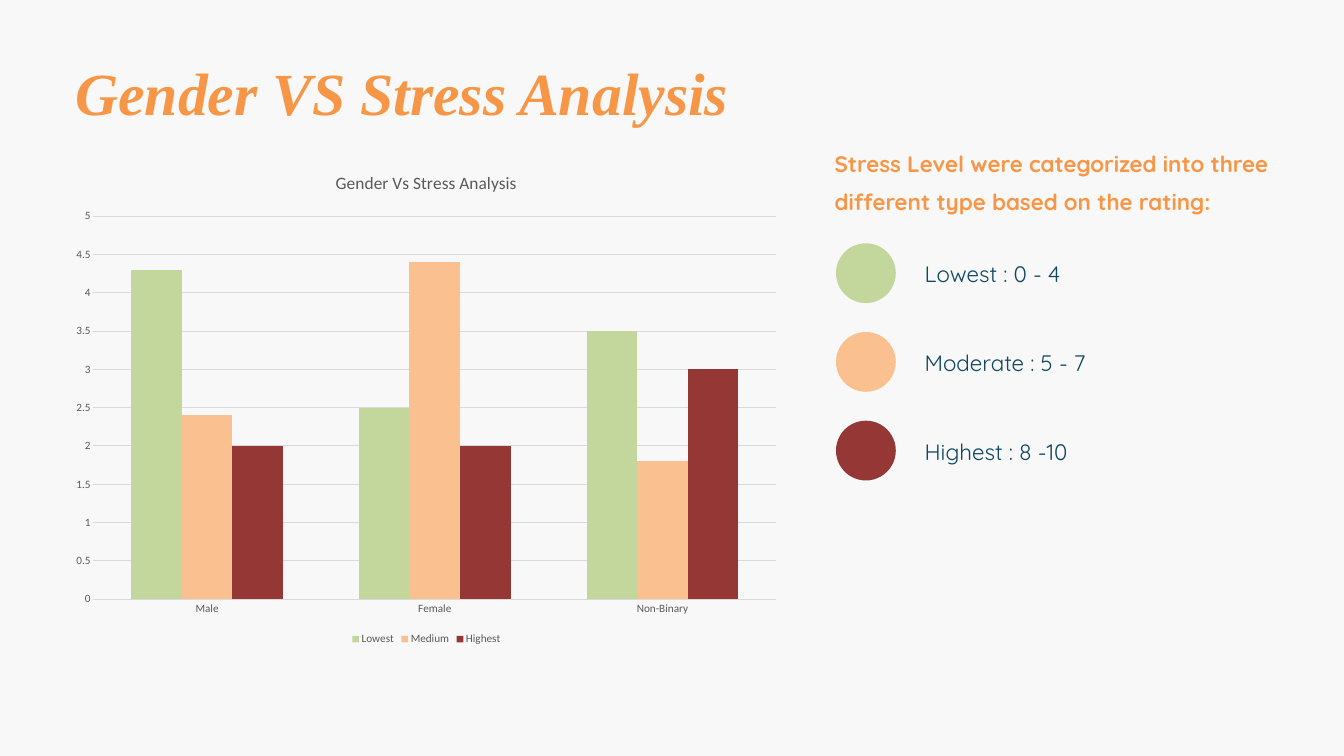
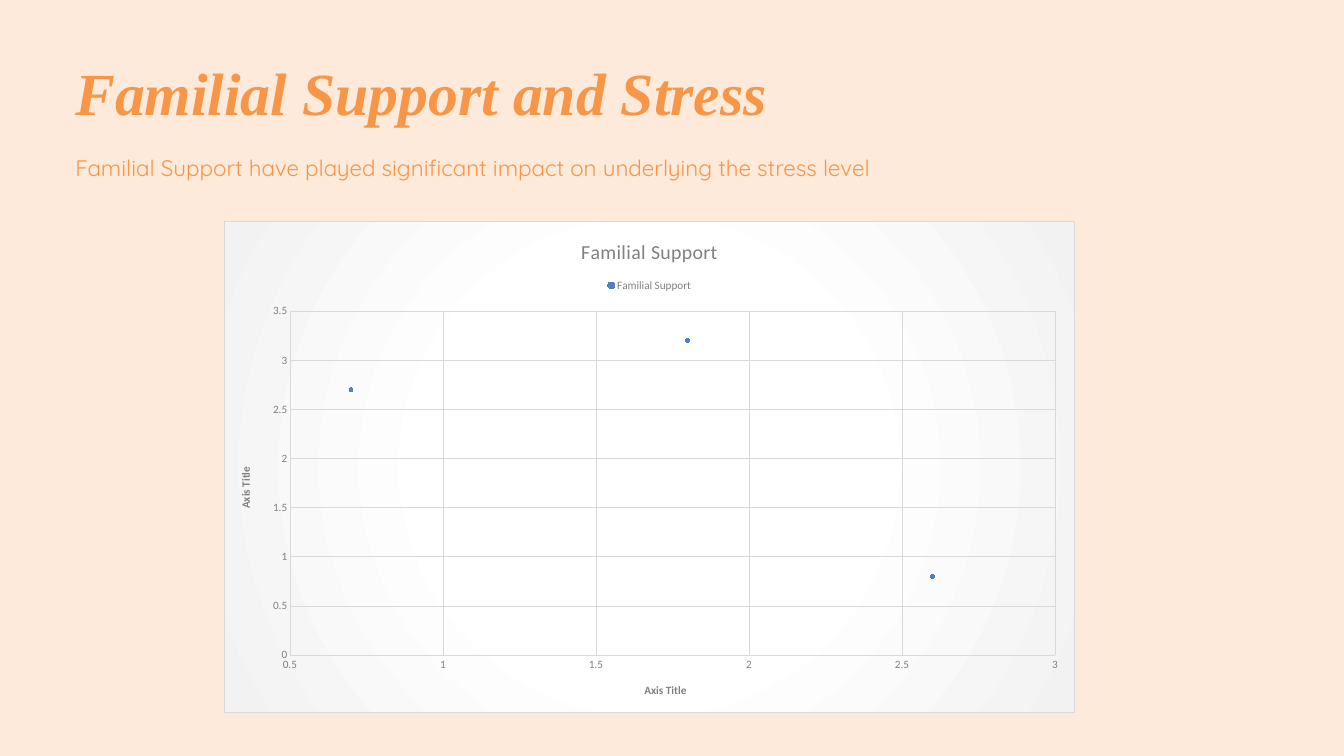
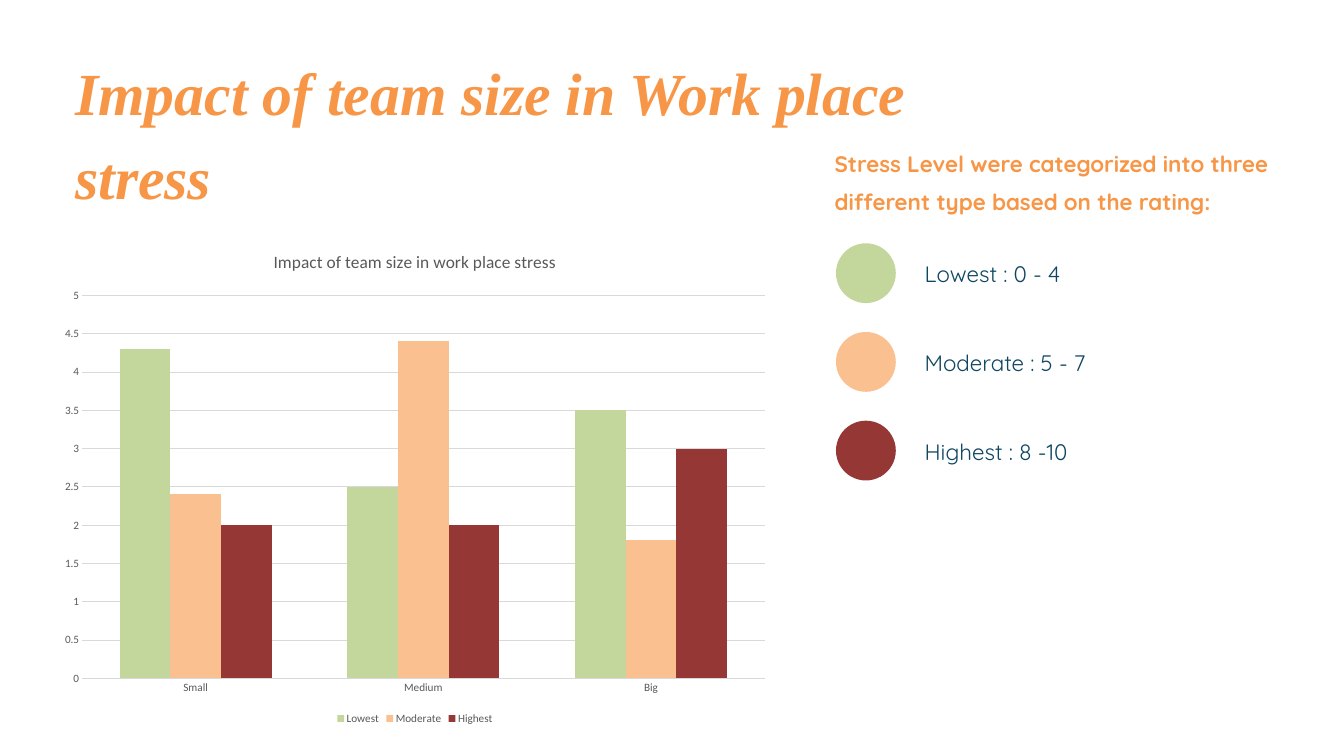
from lxml import etree
from pptx import Presentation
from pptx import util as u
from pptx.chart.data import CategoryChartData, XyChartData
from pptx.dml.color import RGBColor
from pptx.enum import chart as charts, shapes, text
from pptx.oxml import parse_xml
from pptx.oxml.ns import nsdecls, qn

COLORS = {
    "gray": "F8F8F8",
    "peach": "FDEADA",
    "white": "FFFFFF",
    "orange": "F79646",
    "navy": "0F4662",
    "low": "C3D69B",
    "moderate": "FAC090",
    "high": "953735",
    "blue": "4F81BD",
    "dark_label": "595959",
    "light_label": "808080",
    "grid": "D9D9D9",
    "edge": "F2F2F2",
}
LEVELS = [
    ("low", "Lowest : 0 - 4"),
    ("moderate", "Moderate : 5 - 7"),
    ("high", "Highest : 8 -10"),
]
STRESS_VALUES = [(4.3, 2.5, 3.5), (2.4, 4.4, 1.8), (2, 2, 3)]
CLEAR_FILL = "<a:noFill/><a:ln><a:noFill/></a:ln>"
GLOW_FILL = f"""<a:gradFill>
  <a:gsLst>
    <a:gs pos="0"><a:srgbClr val="{COLORS['white']}"/></a:gs>
    <a:gs pos="43000"><a:srgbClr val="{COLORS['white']}"/></a:gs>
    <a:gs pos="100000"><a:srgbClr val="{COLORS['edge']}"/></a:gs>
  </a:gsLst>
  <a:path path="circle"><a:fillToRect l="50000" t="50000" r="50000" b="50000"/></a:path>
</a:gradFill>
<a:ln w="9525"><a:solidFill><a:srgbClr val="{COLORS['grid']}"/></a:solidFill></a:ln>"""


def color(name):
    return RGBColor.from_string(COLORS[name])


class Deck:
    title_font = "Times New Roman"
    body_font = "Quicksand"
    chart_font = "Calibri"

    def __init__(self):
        self.presentation = Presentation()
        self.presentation.slide_width = u.Inches(20)
        self.presentation.slide_height = u.Inches(11.25)
        self.slide = None

    def add_slide(self, background):
        self.slide = self.presentation.slides.add_slide(self.presentation.slide_layouts[6])
        fill = self.slide.background.fill
        fill.solid()
        fill.fore_color.rgb = color(background)

    def style(self, font, name, size, color_name, bold=False, italic=False):
        font.name = name
        font.size = u.Pt(size)
        font.bold = bold
        font.italic = italic
        font.color.rgb = color(color_name)

    def add_text(self, words, box, spacing, name, size, color_name, bold=False, italic=False):
        shape = self.slide.shapes.add_textbox(*map(u.Inches, box))
        frame = shape.text_frame
        frame.margin_left = frame.margin_top = frame.margin_right = frame.margin_bottom = 0
        frame.word_wrap = True
        frame.auto_size = text.MSO_AUTO_SIZE.SHAPE_TO_FIT_TEXT
        frame.text = words
        paragraph = frame.paragraphs[0]
        paragraph.line_spacing = u.Pt(spacing)
        self.style(paragraph.runs[0].font, name, size, color_name, bold, italic)

    def add_title(self, words, width=12.62, height=1.2):
        self.add_text(words, (1.12, 0.66, width, height), 89.6,
                      self.title_font, 64, "orange", bold=True, italic=True)

    def add_body(self, words, box, spacing=40.8, color_name="orange", bold=False):
        self.add_text(words, box, spacing, self.body_font, 24, color_name, bold)

    def add_circle(self, left, top, size, color_name):
        shape = self.slide.shapes.add_shape(
            shapes.MSO_SHAPE.OVAL, *map(u.Inches, (left, top, size, size)))
        shape.shadow.inherit = False
        shape.fill.solid()
        shape.fill.fore_color.rgb = color(color_name)
        shape.line.fill.background()

    def add_level_key(self):
        self.add_body("Stress Level were categorized into three different type based on the rating:",
                      (12.42, 2.07, 6.46, 1.09), bold=True)
        for row, (level, words) in enumerate(LEVELS):
            top = 3.62 + 1.32 * row
            self.add_circle(12.44, top, 0.89, level)
            self.add_body(words, (13.76, top + 0.19, 5.13, 0.45), 33.6, "navy")

    def add_chart(self, kind, data, box, title, title_size, label, legend_position, fill):
        chart = self.slide.shapes.add_chart(kind, *map(u.Inches, box), data).chart
        self.style(chart.font, self.chart_font, 12, label)
        chart.has_title = True
        chart.chart_title.include_in_layout = False
        self.set_title(chart.chart_title, title, title_size, label)
        chart.has_legend = True
        chart.legend.position = legend_position
        chart.legend.include_in_layout = False
        self.style(chart.legend.font, self.chart_font, 12, label)
        for axis in (chart.category_axis, chart.value_axis):
            axis.major_tick_mark = axis.minor_tick_mark = charts.XL_TICK_MARK.NONE
            axis.format.line.fill.background()
            self.style(axis.tick_labels.font, self.chart_font, 12, label)
        self.set_grid(chart.value_axis)
        frame = parse_xml(f"<c:spPr {nsdecls('c', 'a')}>{fill}</c:spPr>")
        chart.element.find(qn("c:chart")).addnext(frame)
        return chart

    def set_title(self, title, words, size, label, bold=False):
        title.text_frame.text = words
        run = title.text_frame.paragraphs[0].runs[0]
        self.style(run.font, self.chart_font, size, label, bold)
        return run

    def set_grid(self, axis):
        axis.has_major_gridlines = True
        self.set_line(axis.major_gridlines.format.line)

    def set_line(self, line):
        line.color.rgb = color("grid")
        line.width = u.Pt(0.75)

    def set_scale(self, axis, low, high):
        axis.minimum_scale = low
        axis.maximum_scale = high
        axis.major_unit = 0.5

    def add_column_chart(self, title, left, top, categories, names):
        data = CategoryChartData()
        data.categories = categories
        for name, values in zip(names, STRESS_VALUES):
            data.add_series(name, values)
        chart = self.add_chart(
            charts.XL_CHART_TYPE.COLUMN_CLUSTERED, data, (left, top, 10.85, 7.36),
            title, 18.6, "dark_label", charts.XL_LEGEND_POSITION.BOTTOM, CLEAR_FILL)
        self.set_scale(chart.value_axis, 0, 5)
        plot = chart.plots[0]
        plot.gap_width = 150
        plot.overlap = 0
        plot.vary_by_categories = False
        for series, (level, _) in zip(plot.series, LEVELS):
            series.format.fill.solid()
            series.format.fill.fore_color.rgb = color(level)

    def add_scatter_chart(self, title, box, points):
        data = XyChartData()
        series_data = data.add_series(title)
        for x, y in points:
            series_data.add_data_point(x, y)
        chart = self.add_chart(
            charts.XL_CHART_TYPE.XY_SCATTER, data, box,
            title, 21.3, "light_label", charts.XL_LEGEND_POSITION.TOP, GLOW_FILL)
        title_run = chart.chart_title.text_frame.paragraphs[0].runs[0]
        title_run.font._element.set("spc", "50")
        self.set_grid(chart.category_axis)
        self.set_line(chart.category_axis.format.line)
        self.set_scale(chart.category_axis, 0.5, 3)
        self.set_scale(chart.value_axis, 0, 3.5)
        for axis in (chart.category_axis, chart.value_axis):
            self.set_title(axis.axis_title, "Axis Title", 12, "light_label", bold=True)
        body = chart.value_axis.axis_title.text_frame._txBody.find(qn("a:bodyPr"))
        body.set("rot", "-5400000")
        body.set("vert", "horz")
        plot = chart.plots[0]
        plot.vary_by_categories = False
        series = plot.series[0]
        series.format.line.fill.background()
        for smooth in series._element.findall(qn("c:smooth")):
            smooth.set("val", "0")
        series.marker.style = charts.XL_MARKER_STYLE.CIRCLE
        series.marker.size = 4
        series.marker.format.fill.solid()
        series.marker.format.fill.fore_color.rgb = color("blue")
        series.marker.format.line.color.rgb = color("blue")


def main():
    deck = Deck()

    deck.add_slide("gray")
    deck.add_title("Gender VS Stress Analysis")
    deck.add_level_key()
    deck.add_column_chart("Gender Vs Stress Analysis", 0.92, 2.29,
                          ("Male", "Female", "Non-Binary"), ("Lowest", "Medium", "Highest"))

    deck.add_slide("peach")
    deck.add_title("Familial Support and Stress", width=11.29)
    deck.add_body("Familial Support have played significant impact on underlying the stress level",
                  (1.12, 2.12, 17.75, 0.51))
    deck.add_scatter_chart("Familial Support", (3.33, 3.29, 12.67, 7.31),
                           [(0.7, 2.7), (1.8, 3.2), (2.6, 0.8)])

    deck.add_slide("white")
    deck.add_title("Impact of team size in Work place stress", height=2.46)
    deck.add_level_key()
    deck.add_column_chart("Impact of team size in work place stress", 0.75, 3.47,
                          ("Small", "Medium", "Big"), ("Lowest", "Moderate", "Highest"))

    deck.presentation.save("out.pptx")


if __name__ == "__main__":
    main()
